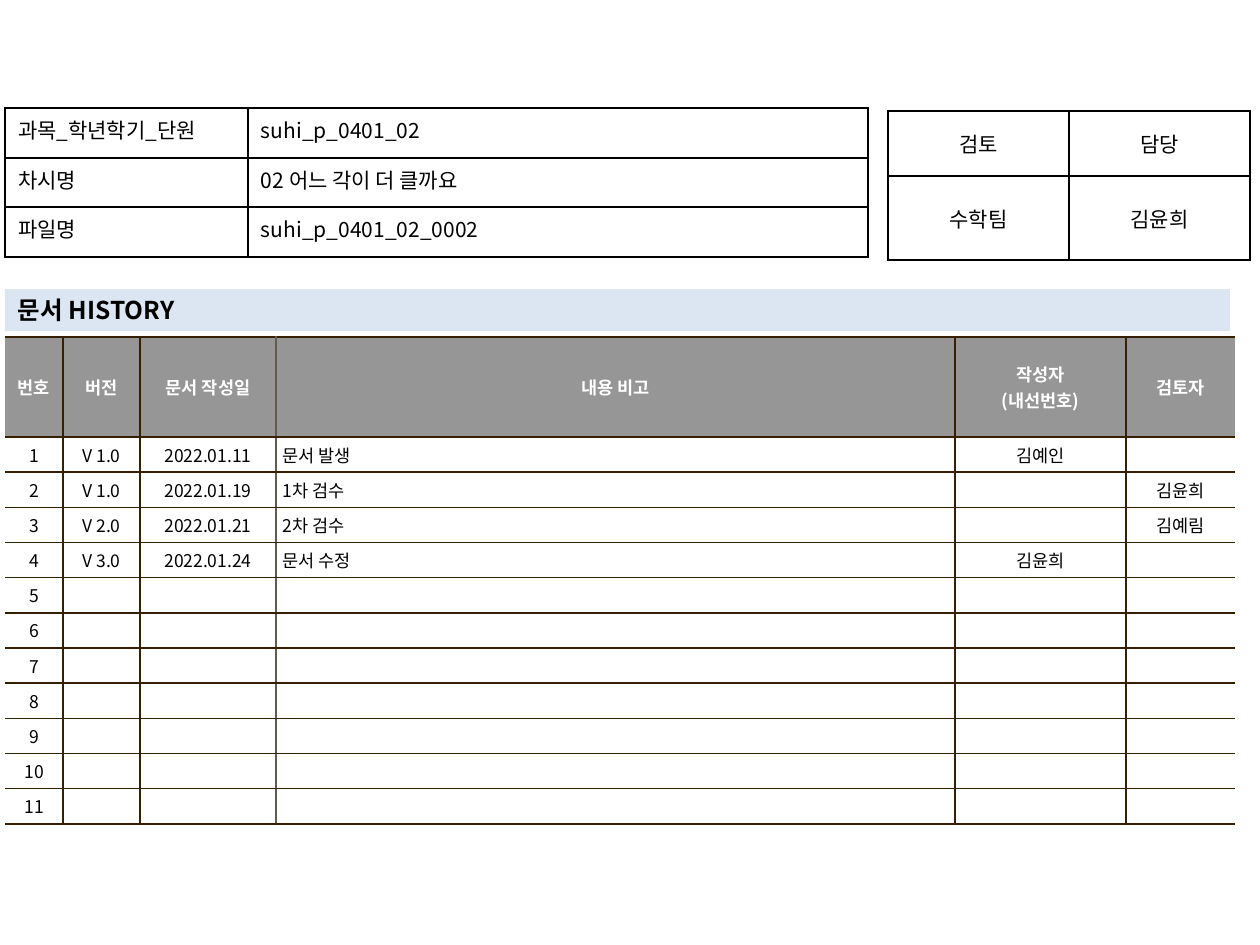
from lxml.etree import SubElement
from pptx import Presentation
from pptx.dml.color import RGBColor
from pptx.enum.shapes import MSO_SHAPE as Shape
from pptx.enum.text import MSO_ANCHOR as Anchor, PP_ALIGN as Align
from pptx.oxml.ns import qn
from pptx.util import Pt

PX = 914400 / 126
FONT = "Noto Sans CJK KR"
COLORS = {
    "black": "000000", "white": "FFFFFF", "header": "969696",
    "band": "DCE6F2", "brown": "362000", "taupe": "645B4C",
}
ROLES = ("latin", "ea")
HISTORY_COLUMNS = [58, 77, 136, 679, 171, 109]
HISTORY_HEADER = ["번호", "버전", "문서 작성일", "내용 비고", "작성자\n(내선번호)", "검토자"]
HISTORY_ENTRIES = [
    ["V 1.0", "2022.01.11", "문서 발생", "김예인", ""],
    ["V 1.0", "2022.01.19", "1차 검수", "", "김윤희"],
    ["V 2.0", "2022.01.21", "2차 검수", "", "김예림"],
    ["V 3.0", "2022.01.24", "문서 수정", "김윤희", ""],
]
HISTORY_LENGTH = 11
NOTE_COLUMN = 3


def px(length):
    return round(length * PX)


def color(name):
    return RGBColor.from_string(COLORS[name])


def style_text(frame, text, align, size, text_color="black", bold=False):
    frame.text = text
    for paragraph in frame.paragraphs:
        paragraph.alignment = align
        for run in paragraph.runs:
            for name, value in {"size": Pt(size), "name": FONT, "bold": bold}.items():
                setattr(run.font, name, value)
            run.font.color.rgb = color(text_color)
            SubElement(run.font._element, qn("a:ea"), typeface=FONT)
        if not paragraph.runs:
            # An empty cell keeps the text size of its row
            end = SubElement(paragraph._p, qn("a:endParaRPr"), sz=str(size * 100))
            for role in ROLES:
                SubElement(end, qn(f"a:{role}"), typeface=FONT)


def set_borders(cell, borders):
    properties = cell._tc.get_or_add_tcPr()
    for side in "LRTB":
        line = SubElement(properties, qn(f"a:ln{side}"), w=str(Pt(1)))
        if borders[side]:
            fill = SubElement(line, qn("a:solidFill"))
            SubElement(fill, qn("a:srgbClr"), val=COLORS[borders[side]])
        else:
            SubElement(line, qn("a:noFill"))


def style_cell(cell, borders, fill, anchor, margins):
    set_borders(cell, borders)
    if fill:
        cell.fill.solid()
        cell.fill.fore_color.rgb = color(fill)
    else:
        cell.fill.background()
    horizontal, vertical = margins
    formats = {
        "vertical_anchor": anchor,
        "margin_left": px(horizontal), "margin_right": px(horizontal),
        "margin_top": px(vertical), "margin_bottom": px(vertical),
    }
    for name, value in formats.items():
        setattr(cell, name, value)


def add_grid(slide, left, top, columns, rows):
    box = map(px, (left, top, sum(columns), sum(rows)))
    table = slide.shapes.add_table(len(rows), len(columns), *box).table
    table.first_row = table.horz_banding = False
    for column, width in zip(table.columns, columns):
        column.width = px(width)
    for row, height in zip(table.rows, rows):
        row.height = px(height)
    return table


def add_plain_table(slide, left, top, columns, rows, texts, aligns, anchor):
    table = add_grid(slide, left, top, columns, rows)
    borders = dict.fromkeys("LRTB", "black")
    for r, row in enumerate(texts):
        for c, text in enumerate(row):
            cell = table.cell(r, c)
            style_cell(cell, borders, None, anchor, (13, 6))
            style_text(cell.text_frame, text, aligns[c], 12)


def add_document_info(slide, left, top):
    texts = [
        ["과목_학년학기_단원 ", "suhi_p_0401_02"],
        ["차시명", "02 어느 각이 더 클까요"],
        ["파일명", "suhi_p_0401_02_0002"],
    ]
    add_plain_table(slide, left, top, [243, 620], [50, 49, 50], texts,
                    [Align.JUSTIFY, Align.LEFT], Anchor.TOP)


def add_approval(slide, left, top):
    texts = [["검토", "담당"], ["수학팀", "김윤희"]]
    add_plain_table(slide, left, top, [181, 181], [65, 84], texts,
                    [Align.CENTER] * 2, Anchor.MIDDLE)


def add_title_band(slide, left, top, width, height):
    shape = slide.shapes.add_shape(Shape.RECTANGLE, *map(px, (left, top, width, height)))
    shape.shadow.inherit = False
    shape.fill.solid()
    shape.fill.fore_color.rgb = color("band")
    shape.line.fill.background()
    formats = {
        "word_wrap": True, "vertical_anchor": Anchor.MIDDLE,
        "margin_left": px(13), "margin_top": 0, "margin_bottom": 0,
    }
    for name, value in formats.items():
        setattr(shape.text_frame, name, value)
    style_text(shape.text_frame, "문서 HISTORY", Align.LEFT, 14, bold=True)


def history_borders(column):
    # Open outer sides; a lighter rule in front of the notes
    sides = [None, "brown", "brown", "taupe", "brown", "brown", None]
    return {"L": sides[column], "R": sides[column + 1], "T": "brown", "B": "brown"}


def add_history(slide, left, top):
    rows = [100] + [35] * HISTORY_LENGTH
    table = add_grid(slide, left, top, HISTORY_COLUMNS, rows)
    blank = [[""] * 5] * (HISTORY_LENGTH - len(HISTORY_ENTRIES))
    entries = [[str(number), *entry]
               for number, entry in enumerate(HISTORY_ENTRIES + blank, 1)]
    for r, row in enumerate([HISTORY_HEADER] + entries):
        header = r == 0
        for c, text in enumerate(row):
            cell = table.cell(r, c)
            style_cell(cell, history_borders(c), "header" if header else "white",
                       Anchor.MIDDLE, (7, 5))
            align = Align.LEFT if c == NOTE_COLUMN and not header else Align.CENTER
            style_text(cell.text_frame, text, align, 10,
                       "white" if header else "black", header)


def main():
    presentation = Presentation()
    presentation.slide_width, presentation.slide_height = px(1260), px(945)
    slide = presentation.slides.add_slide(presentation.slide_layouts[6])
    add_history(slide, 5, 337)
    add_approval(slide, 888, 111)
    add_title_band(slide, 5, 289, 1225, 42)
    add_document_info(slide, 5, 108)
    presentation.save("out.pptx")


if __name__ == "__main__":
    main()
